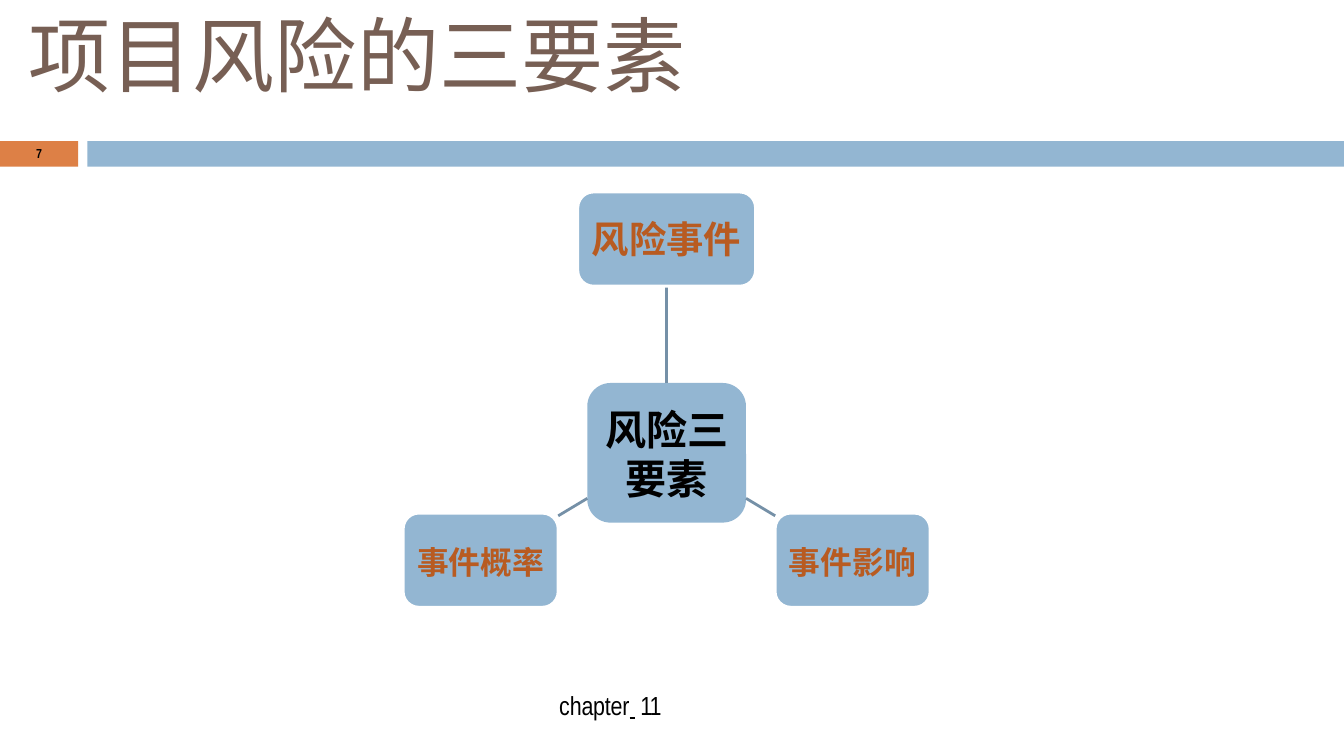
from pptx import Presentation
from pptx.dml.color import RGBColor
from pptx.enum.shapes import MSO_CONNECTOR, MSO_SHAPE
from pptx.enum.text import MSO_ANCHOR, PP_ALIGN
from pptx.oxml.ns import qn
from pptx.util import Cm, Pt
from lxml import etree

RECT, ROUND = MSO_SHAPE.RECTANGLE, MSO_SHAPE.ROUNDED_RECTANGLE
LINE = MSO_CONNECTOR.STRAIGHT
LEFT, MID, TOP = PP_ALIGN.LEFT, PP_ALIGN.CENTER, MSO_ANCHOR.TOP
HEX = {"title": "775F54", "tag": "DD8046", "blue": "93B6D2", "link": "7590A7",
       "node": "B85B21", "black": "000000", "white": "FFFFFF"}
SANS, CJK, LATIN = "Noto Sans CJK SC", "Noto Sans CJK JP", "Arial Narrow"


def tint(name):
    """Return the named colour."""
    return RGBColor.from_string(HEX[name])


def write(shape, text, size, font, color="black", bold=False, align=MID,
          left=0, top=0, lead=None):
    """Write text, a string or a list of (words, spacing, underline) runs."""
    frame = shape.text_frame
    frame.word_wrap = True
    frame.vertical_anchor = TOP
    frame.margin_left, frame.margin_top = Cm(left), Cm(top)
    frame.margin_right = frame.margin_bottom = 0
    rows = [[(row, 0, False)] for row in text.split("\n")] if isinstance(text, str) else [text]
    for i, row in enumerate(rows):
        para = frame.add_paragraph() if i else frame.paragraphs[0]
        para.alignment = align
        if lead:
            para.line_spacing = Pt(lead)
        for words, gap, under in row:
            run = para.add_run()
            run.text = words
            face = run.font
            face.size, face.name, face.bold = Pt(size), font, bold
            face.underline = under
            face.color.rgb = tint(color)
            props = run._r.get_or_add_rPr()
            etree.SubElement(props, qn("a:ea")).set("typeface", font)
            if gap:
                props.set("spc", str(round(gap * 100)))


def label(slide, x, y, w, h, text, **style):
    """Place a left-aligned text box."""
    box = slide.shapes.add_textbox(Cm(x), Cm(y), Cm(w), Cm(h))
    write(box, text, align=LEFT, left=0.03, top=0.06, **style)


def block(slide, kind, x, y, w, h, fill, edge=None):
    """Place a filled shape."""
    shape = slide.shapes.add_shape(kind, Cm(x), Cm(y), Cm(w), Cm(h))
    shape.shadow.inherit = False
    shape.fill.solid()
    shape.fill.fore_color.rgb = tint(fill)
    if edge:
        shape.line.color.rgb = tint(edge)
        shape.line.width = Pt(1.56)
    else:
        shape.line.fill.background()
    return shape


def link(slide, x1, y1, x2, y2):
    """Draw a plain line between two points."""
    line = slide.shapes.add_connector(LINE, Cm(x1), Cm(y1), Cm(x2), Cm(y2))
    line.line.color.rgb = tint("link")
    line.line.width = Pt(1.5)
    etree.SubElement(line._element.spPr, qn("a:effectLst"))
    return line


def band(slide, x, y, w, h, page):
    """Draw the page tag and the bar beside it."""
    tag, gap = 1.48, 0.17
    box = block(slide, RECT, x, y, tag, h, "tag")
    write(box, page, 7, LATIN, bold=True, top=0.08)
    block(slide, RECT, x + tag + gap, y, w - tag - gap, h, "blue")


def star(slide, x, y, w, h, core, head, sides):
    """Draw a hub with one node above and one at each lower side."""
    mid, tall, wide = x + w / 2, 1.78, 2.93
    hubw, hubh, hubtop = 3, 2.64, y + 3.61
    hub = block(slide, ROUND, mid - hubw / 2, hubtop, hubw, hubh, "blue")
    write(hub, core, 22, SANS, bold=True, top=0.29, lead=26.1)

    stem = link(slide, mid, hubtop, mid, y + tall)
    stem.begin_connect(hub, 0)
    peak = block(slide, ROUND, mid - 1.68, y, 3.36, tall, "blue", "white")
    write(peak, head, 20, CJK, "node", True, top=0.37)
    stem.end_connect(peak, 2)

    low = y + h - tall
    for sign, text in zip((1, -1), sides):
        link(slide, mid + sign * hubw / 2, low - 0.28,
             mid + sign * (w / 2 - wide), low + 0.05)
        left = mid + sign * (w - wide) / 2 - wide / 2
        node = block(slide, ROUND, left, low, wide, tall, "blue", "white")
        write(node, text, 17, CJK, "node", True, top=0.47)


def main():
    """Build and save the slide."""
    deck = Presentation()
    deck.slide_width, deck.slide_height = Cm(25.4), Cm(14.29)
    slide = deck.slides.add_slide(deck.slide_layouts[6])
    band(slide, 0, 2.67, 25.4, 0.48, "7")
    label(slide, 0.51, 0.03, 12.6, 1.93, "项目风险的三要素",
          size=44, font=SANS, color="title")
    label(slide, 10.54, 12.98, 2.4, 0.66,
          [("chapter", -0.1, False), (" ", 2.5, True), ("11", -0.5, False)],
          size=14, font=LATIN)
    star(slide, 7.62, 3.63, 9.96, 7.85, "风险三\n要素", "风险事件",
         ("事件影响", "事件概率"))
    deck.save("out.pptx")


if __name__ == "__main__":
    main()
